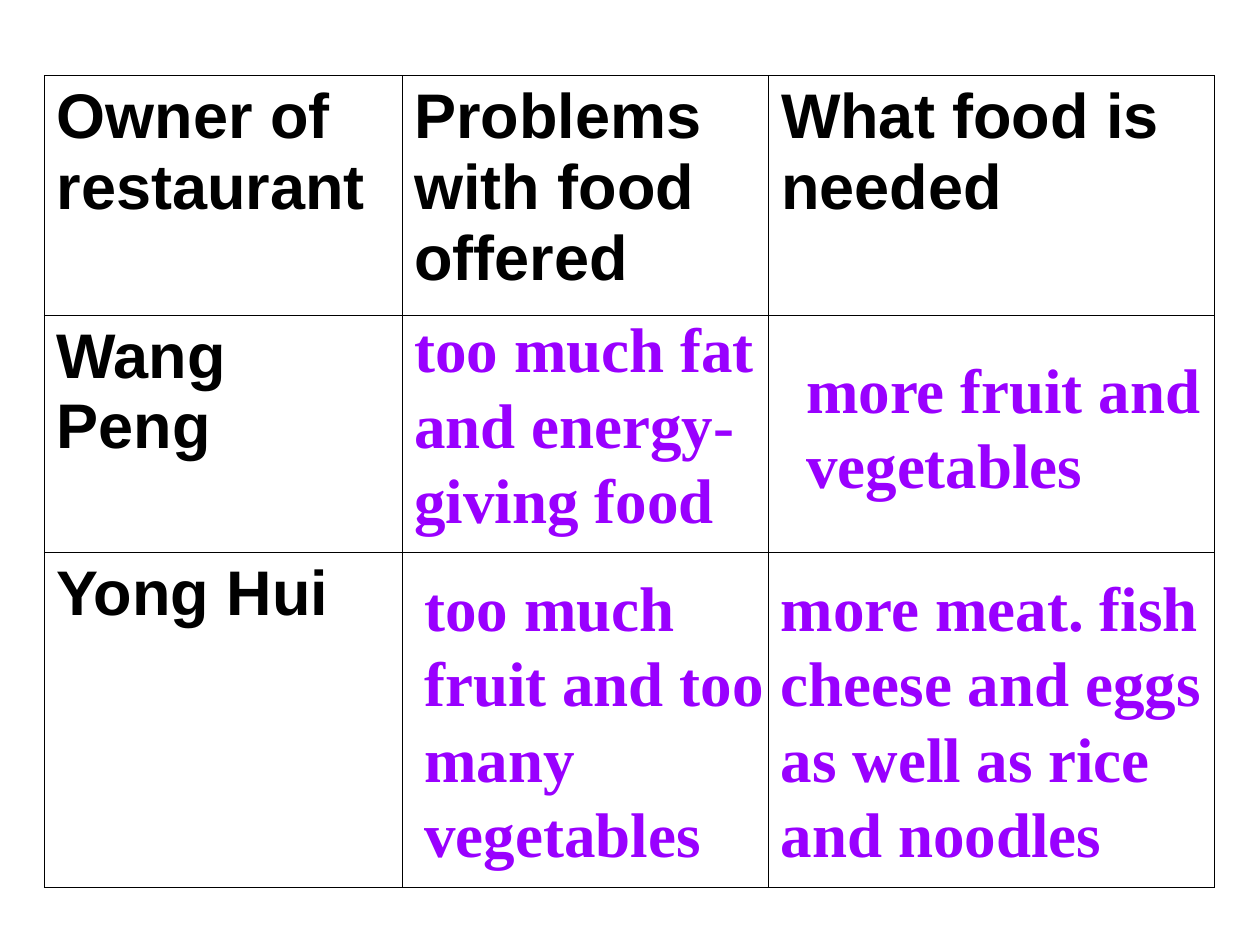
from lxml import etree
from pptx import Presentation
from pptx.dml.color import RGBColor
from pptx.enum.text import MSO_AUTO_SIZE
from pptx.oxml.ns import qn
from pptx.util import Inches, Pt

GROW = MSO_AUTO_SIZE.SHAPE_TO_FIT_TEXT
BLANK_LAYOUT = 6
BLACK, PURPLE = "000000", "9900FF"

COLUMN_WIDTHS = [2.84, 2.91, 3.54]
ROW_HEIGHTS = [1.9, 1.88, 2.66]
LABELS = [
    ["Owner of restaurant", "Problems with food offered", "What food is needed"],
    ["Wang Peng", "", ""],
    ["Yong Hui", "", ""],
]
# Left, top, width, height and paragraphs of each answer
ANSWERS = [
    (3.19, 2.41, 2.91, 1.9, ["too much fat", "and energy-giving food"]),
    (6.3, 2.73, 3.7, 1.3, ["more fruit and vegetables"]),
    (3.27, 4.46, 2.91, 2.5, ["too much fruit and too many vegetables"]),
    (6.1, 4.46, 3.63, 2.5,
     ["more meat. fish cheese and eggs as well as rice and noodles"]),
]


def color(hex_string):
    return RGBColor.from_string(hex_string)


def style(para, font_name, hex_string):
    para.font.name = font_name
    para.font.size = Pt(36)
    para.font.bold = True
    para.font.color.rgb = color(hex_string)


def add_borders(cell, hex_string, width):
    properties = cell._tc.get_or_add_tcPr()
    for index, side in enumerate(("lnL", "lnR", "lnT", "lnB")):
        line = etree.Element(qn(f"a:{side}"), w=str(Pt(width)))
        fill = etree.SubElement(line, qn("a:solidFill"))
        etree.SubElement(fill, qn("a:srgbClr"), val=hex_string)
        properties.insert(index, line)


def add_food_table(slide, left, top):
    frame = slide.shapes.add_table(
        len(ROW_HEIGHTS), len(COLUMN_WIDTHS), Inches(left), Inches(top),
        Inches(sum(COLUMN_WIDTHS)), Inches(sum(ROW_HEIGHTS)))
    table = frame.table
    table.first_row = table.horz_banding = False
    for column, width in zip(table.columns, COLUMN_WIDTHS):
        column.width = Inches(width)
    for row, height, labels in zip(table.rows, ROW_HEIGHTS, LABELS):
        row.height = Inches(height)
        for cell, label in zip(row.cells, labels):
            cell.fill.background()
            add_borders(cell, BLACK, 0.45)
            if label:
                cell.text = label
                style(cell.text_frame.paragraphs[0], "Arial", BLACK)


def add_answer(slide, left, top, width, height, lines):
    box = slide.shapes.add_textbox(
        Inches(left), Inches(top), Inches(width), Inches(height))
    frame = box.text_frame
    frame.word_wrap = True
    frame.auto_size = GROW
    frame.text = "\n".join(lines)
    for para in frame.paragraphs:
        para.line_spacing = Pt(43.2)
        style(para, "Times New Roman", PURPLE)


def main():
    deck = Presentation()
    deck.slide_width, deck.slide_height = Inches(10), Inches(7.5)
    slide = deck.slides.add_slide(deck.slide_layouts[BLANK_LAYOUT])
    add_food_table(slide, 0.35, 0.6)
    # Answers laid over the empty cells
    for answer in ANSWERS:
        add_answer(slide, *answer)
    deck.save("out.pptx")


if __name__ == "__main__":
    main()
